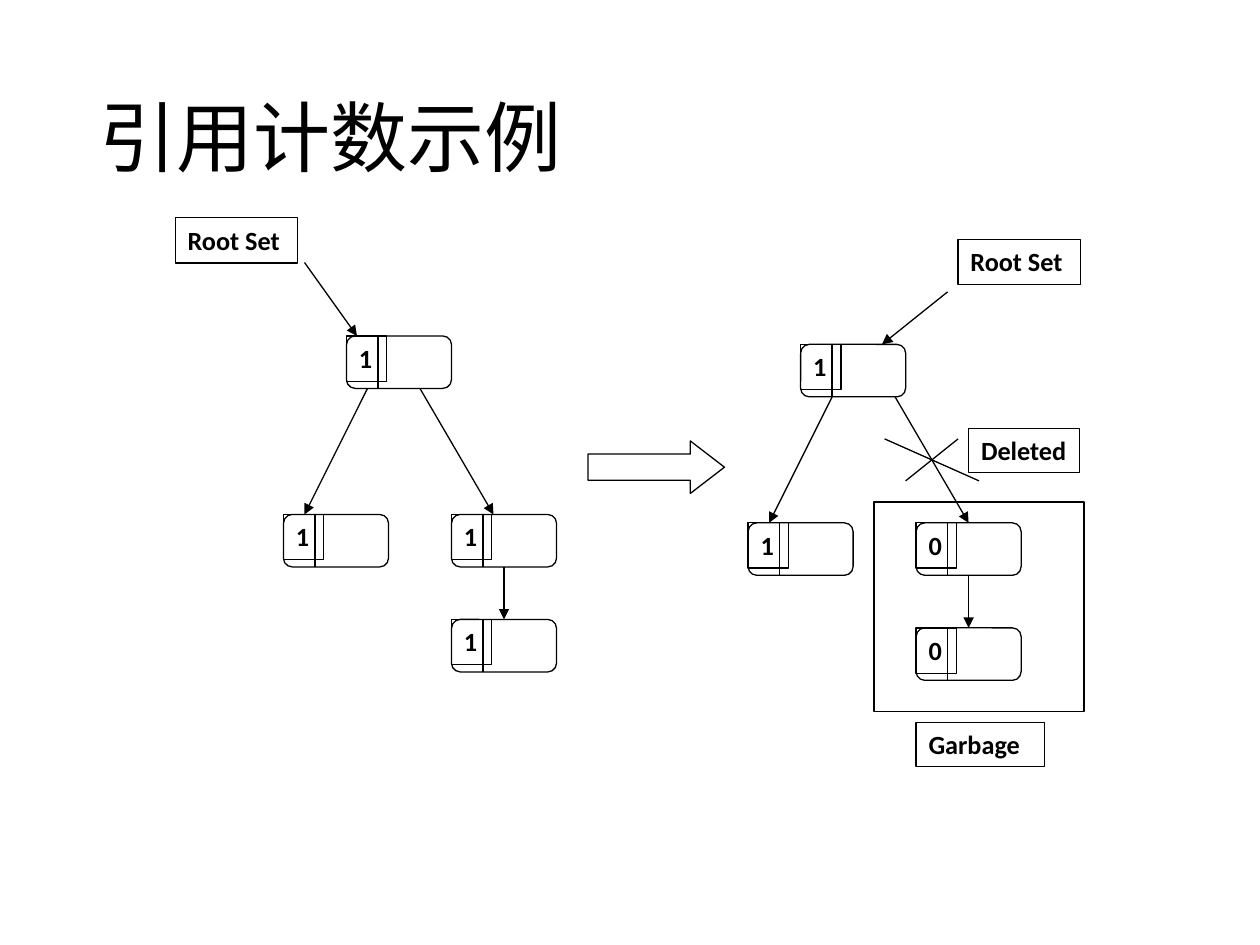
from lxml.etree import SubElement
from pptx import Presentation
from pptx.dml.color import RGBColor
from pptx.enum.shapes import MSO_CONNECTOR, MSO_SHAPE
from pptx.enum.text import MSO_ANCHOR, MSO_AUTO_SIZE, PP_ALIGN
from pptx.oxml.ns import qn
from pptx.util import Inches, Pt

BLACK = "000000"
CELLS_PER_INCH = 12
LEFT_ORIGIN = (0, 0)
RIGHT_ORIGIN = (3.25, 0.8)
NODE_WIDTH, NODE_HEIGHT, DIVIDER = 10, 5, 3
COUNT_SIZE = (3.84, 4.32)
ROOT_SET_SIZE = (11.64, 4.32)
TITLE_FONT = {"name": "Calibri", "size": Pt(44)}
LABEL_FONT = {"name": "Calibri", "size": Pt(15), "bold": True}
LABEL_FRAME = {"word_wrap": False, "auto_size": MSO_AUTO_SIZE.SHAPE_TO_FIT_TEXT,
               "vertical_anchor": MSO_ANCHOR.TOP}


def color(value):
    """Return the colour for a hex string."""
    return RGBColor.from_string(value)


def cells(*values):
    """Turn grid cells into lengths."""
    return [Inches(value / CELLS_PER_INCH) for value in values]


def apply_format(target, values):
    """Set each attribute named in a dict."""
    for name, value in values.items():
        setattr(target, name, value)


def place(origin, position):
    """Move a grid position to the origin of its tree."""
    return tuple(start + offset for start, offset in zip(origin, position))


def set_line(shape):
    """Give a shape or connector the thin black line."""
    shape.line.color.rgb = color(BLACK)
    shape.line.width = Pt(0.75)


def add_outline(slide, kind, position, size, adjustments=()):
    """Add an unfilled preset shape."""
    shape = slide.shapes.add_shape(kind, *cells(*position, *size))
    shape.shadow.inherit = False
    shape.fill.background()
    set_line(shape)
    for index, value in enumerate(adjustments):
        shape.adjustments[index] = value
    return shape


def add_label(slide, text, position, size):
    """Add a framed bold label."""
    shape = add_outline(slide, MSO_SHAPE.RECTANGLE, position, size)
    apply_format(shape.text_frame, LABEL_FRAME)
    paragraph = shape.text_frame.paragraphs[0]
    paragraph.text = text
    paragraph.alignment = PP_ALIGN.LEFT
    apply_format(paragraph.font, LABEL_FONT)
    paragraph.font.color.rgb = color(BLACK)


def add_line(slide, start, end, arrow=False):
    """Add a straight line, with an arrowhead if wanted."""
    connector = slide.shapes.add_connector(MSO_CONNECTOR.STRAIGHT, *cells(*start, *end))
    set_line(connector)
    if arrow:
        SubElement(connector.line._get_or_add_ln(), qn("a:tailEnd"), type="triangle")
    SubElement(connector._element.spPr, qn("a:effectLst"))
    return connector


def add_node(slide, count, position):
    """Add an object with its reference count."""
    column, row = position
    node = add_outline(slide, MSO_SHAPE.ROUNDED_RECTANGLE, position,
                       (NODE_WIDTH, NODE_HEIGHT), [0.167])
    add_line(slide, (column + DIVIDER, row), (column + DIVIDER, row + NODE_HEIGHT))
    add_label(slide, count, position, COUNT_SIZE)
    return node


def add_tree(slide, origin, nodes, arrows):
    """Add the nodes of a tree and its arrows; return both lists."""
    shapes = [add_node(slide, count, place(origin, position)) for count, position in nodes]
    connectors = [add_line(slide, place(origin, start), place(origin, end), True)
                  for start, end in arrows]
    connectors[-1].begin_connect(shapes[-2], 2)
    connectors[-1].end_connect(shapes[-1], 0)
    return shapes, connectors


def add_title(slide, text):
    """Fill and format the title placeholder."""
    title = slide.shapes.title
    apply_format(title, dict(zip(("left", "top", "width", "height"),
                                 map(Inches, (0.69, 0.4, 8.62, 1.45)))))
    title.text_frame.vertical_anchor = MSO_ANCHOR.MIDDLE
    paragraph = title.text_frame.paragraphs[0]
    paragraph.text = text
    apply_format(paragraph, {"alignment": PP_ALIGN.LEFT, "line_spacing": 0.9})
    apply_format(paragraph.font, TITLE_FONT)
    paragraph.font.color.rgb = color(BLACK)


def main():
    """Build the reference counting slide."""
    presentation = Presentation()
    apply_format(presentation, {"slide_width": Inches(10), "slide_height": Inches(7.5)})
    slide = presentation.slides.add_slide(presentation.slide_layouts[5])
    add_title(slide, "引用计数示例")

    add_tree(slide, LEFT_ORIGIN,
             [("1", (33, 32)), ("1", (27, 49)), ("1", (43, 49)), ("1", (43, 59))],
             [((29, 25), (34, 32)), ((35, 37), (29, 49)), ((40, 37), (47, 49)),
              ((48, 54), (48, 59))])
    nodes, arrows = add_tree(
        slide, RIGHT_ORIGIN,
        [("1", (73, 32)), ("1", (68, 49)), ("0", (84, 49)), ("0", (84, 59))],
        [((87, 27), (80.75, 32)), ((76, 37), (70, 49)), ((82, 37), (89, 49)),
         ((89, 54), (89, 59))])
    arrows[2].end_connect(nodes[2], 0)

    add_outline(slide, MSO_SHAPE.RIGHT_ARROW, (56, 42), (13, 5), [0.5, 0.65])
    for start, end in [((88, 41), (83, 45)), ((81, 41), (90, 45))]:
        add_line(slide, place(RIGHT_ORIGIN, start), place(RIGHT_ORIGIN, end))
    add_outline(slide, MSO_SHAPE.RECTANGLE, place(RIGHT_ORIGIN, (80, 47)), (20, 20))

    for text, origin, position, size in [
            ("Root Set", LEFT_ORIGIN, (16.7, 20.75), ROOT_SET_SIZE),
            ("Root Set", RIGHT_ORIGIN, (88, 22), ROOT_SET_SIZE),
            ("Deleted", RIGHT_ORIGIN, (89, 40), (10.56, 4.2)),
            ("Garbage", RIGHT_ORIGIN, (84, 68), (12.24, 4.2))]:
        add_label(slide, text, place(origin, position), size)
    presentation.save("out.pptx")


if __name__ == "__main__":
    main()
